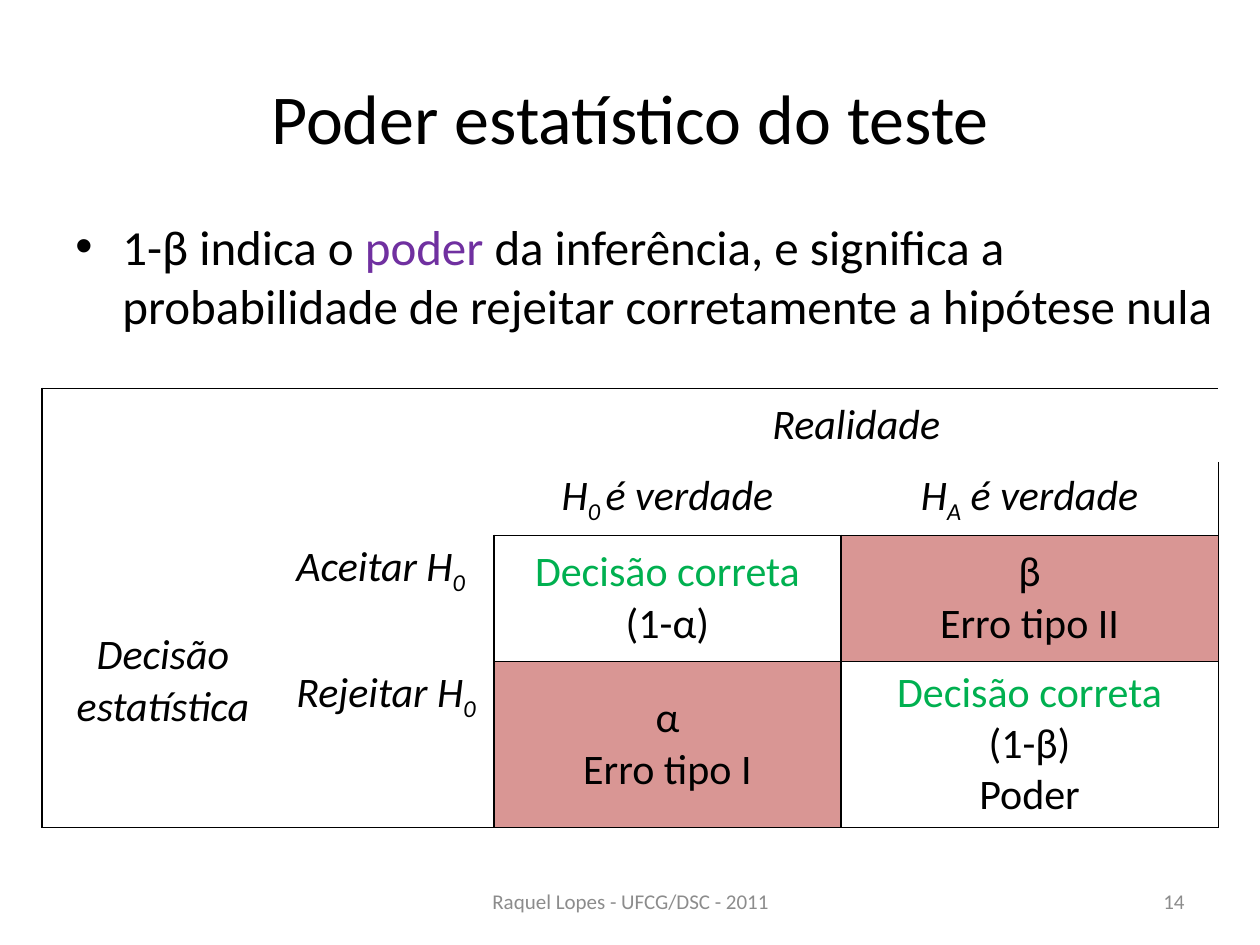
"""Build a slide on the statistical power of a test."""
from dataclasses import dataclass

from lxml.etree import SubElement
from pptx import Presentation
from pptx.dml.color import RGBColor
from pptx.enum.text import MSO_ANCHOR as Anchor, PP_ALIGN as Align
from pptx.oxml import parse_xml
from pptx.oxml.ns import nsdecls, qn
from pptx.util import Cm, Pt

BLACK = RGBColor(0x00, 0x00, 0x00)
GRAY = RGBColor(0x8C, 0x8C, 0x8C)
GREEN = RGBColor(0x00, 0xB0, 0x50)
PURPLE = RGBColor(0x70, 0x30, 0xA0)
ROSE = RGBColor(0xD9, 0x96, 0x94)
PLAIN = "{2D5ABB26-0587-4C30-8999-92F81FD0307C}"
WIDTHS = (4.87, 4.24, 6.99, 7.61)
HEIGHTS = (1.48, 1.48, 2.54, 3.35)


@dataclass
class Entry:
    """Text and look of one table cell."""
    row: int
    col: int
    text: str
    italic: bool = True
    align: Align = Align.CENTER
    anchor: Anchor = Anchor.MIDDLE
    fill: RGBColor | None = None


@dataclass
class Note:
    """Text and place of one footer box."""
    left: float
    width: float
    text: str
    align: Align


ENTRIES = (
    Entry(0, 2, "Realidade"),
    Entry(1, 2, "H|0 |é verdade"),
    Entry(1, 3, "H|A| é verdade"),
    Entry(2, 0, "Decisão estatística"),
    Entry(2, 1, "Aceitar H|0", align=Align.LEFT, anchor=Anchor.TOP),
    Entry(3, 1, "Rejeitar H|0", align=Align.LEFT, anchor=Anchor.TOP),
    Entry(2, 2, "Decisão correta\n(1-α)", italic=False),
    Entry(2, 3, "β\nErro tipo II", italic=False, fill=ROSE),
    Entry(3, 2, "α\nErro tipo I", italic=False, fill=ROSE),
    Entry(3, 3, "Decisão correta\n(1-β)\nPoder", italic=False),
)
NOTES = (
    Note(8.69, 8.05, "Raquel Lopes - UFCG/DSC - 2011", Align.CENTER),
    Note(18.21, 5.92, "14", Align.RIGHT),
)


def write(frame, text: str, size: int, color: RGBColor = BLACK,
          align: Align = Align.CENTER, italic: bool = False,
          accent: RGBColor | None = None) -> None:
    """Write lines whose parts between bars are accented or subscript."""
    for num, line in enumerate(text.split("\n")):
        para = frame.add_paragraph() if num else frame.paragraphs[0]
        para.alignment = align
        font = para.font
        font.name, font.size, font.italic = "Calibri", Pt(size), italic
        font.color.rgb = GREEN if line == "Decisão correta" else color
        for pos, part in enumerate(line.split("|")):
            run = para.add_run()
            run.text = part
            if pos % 2 and accent:
                run.font.color.rgb = accent
            elif pos % 2:
                run._r.get_or_add_rPr().set("baseline", "-25000")


def add_box(slide, left: float, top: float, width: float, height: float):
    """Add a wrapping text box and return its frame."""
    box = slide.shapes.add_textbox(Cm(left), Cm(top), Cm(width), Cm(height))
    box.text_frame.word_wrap = True
    return box.text_frame


def set_edges(cell, sides: str) -> None:
    """Draw the named sides of a cell as thin black lines."""
    props = cell._tc.get_or_add_tcPr()
    for pos, side in enumerate(s for s in "LRTB" if s in sides):
        props.insert(pos, parse_xml(
            f'<a:ln{side} {nsdecls("a")} w="12700"><a:solidFill>'
            f'<a:srgbClr val="{BLACK}"/></a:solidFill></a:ln{side}>'))


def find_sides(row: int, col: int) -> str:
    """Name the ruled sides: the outer frame and the four outcomes."""
    core = row > 1 and col > 1
    rules = {
        "L": core or col == 0,
        "R": core or col == 3 or (row > 1 and col == 1),
        "T": core or row == 0,
        "B": core or row == 3 or (row == 1 and col > 1) or (row, col) == (2, 0),
    }
    return "".join(side for side, ruled in rules.items() if ruled)


def add_grid(slide) -> None:
    """Add the table of decisions against reality."""
    frame = slide.shapes.add_table(4, 4, Cm(0.85), Cm(7.83),
                                   Cm(sum(WIDTHS)), Cm(sum(HEIGHTS)))
    grid = frame.table
    grid.first_row = grid.horz_banding = False
    grid._tbl.tblPr.find(qn("a:tableStyleId")).text = PLAIN
    for col, width in zip(grid.columns, WIDTHS):
        col.width = Cm(width)
    for row, height in zip(grid.rows, HEIGHTS):
        row.height = Cm(height)
    grid.cell(0, 2).merge(grid.cell(0, 3))
    grid.cell(2, 0).merge(grid.cell(3, 0))
    for row in range(4):
        for col in range(4):
            cell = grid.cell(row, col)
            cell.fill.background()
            set_edges(cell, find_sides(row, col))
    for item in ENTRIES:
        cell = grid.cell(item.row, item.col)
        cell.vertical_anchor = item.anchor
        write(cell.text_frame, item.text, 24, align=item.align,
              italic=item.italic)
        if item.fill:
            cell.fill.solid()
            cell.fill.fore_color.rgb = item.fill


def add_point(slide) -> None:
    """Add the bulleted statement."""
    frame = add_box(slide, 1.27, 4.24, 23.7, 3.18)
    write(frame, "1-β indica o |poder |da inferência, e significa a "
          "probabilidade de rejeitar corretamente a hipótese nula",
          28, align=Align.LEFT, accent=PURPLE)
    para = frame.paragraphs[0]
    para.space_before = Pt(5.6)
    props = para._p.get_or_add_pPr()
    props.set("marL", str(Cm(0.95)))
    props.set("indent", str(-Cm(0.95)))
    font = SubElement(props, qn("a:buFont"), typeface="Arial")
    mark = SubElement(props, qn("a:buChar"), char="•")
    base = props.find(qn("a:defRPr"))
    base.addprevious(font)
    base.addprevious(mark)


def main() -> None:
    """Build and save the slide."""
    deck = Presentation()
    deck.slide_width, deck.slide_height = Cm(25.4), Cm(19.05)
    slide = deck.slides.add_slide(deck.slide_layouts[5])
    title = slide.shapes.title
    title.left, title.top = Cm(1.27), Cm(0.76)
    title.width, title.height = Cm(22.86), Cm(3.18)
    title.text_frame.vertical_anchor = Anchor.MIDDLE
    write(title.text_frame, "Poder estatístico do teste", 40)
    add_point(slide)
    add_grid(slide)
    for note in NOTES:
        frame = add_box(slide, note.left, 17.65, note.width, 1.02)
        frame.vertical_anchor = Anchor.MIDDLE
        write(frame, note.text, 12, GRAY, note.align)
    deck.save("out.pptx")


main()
